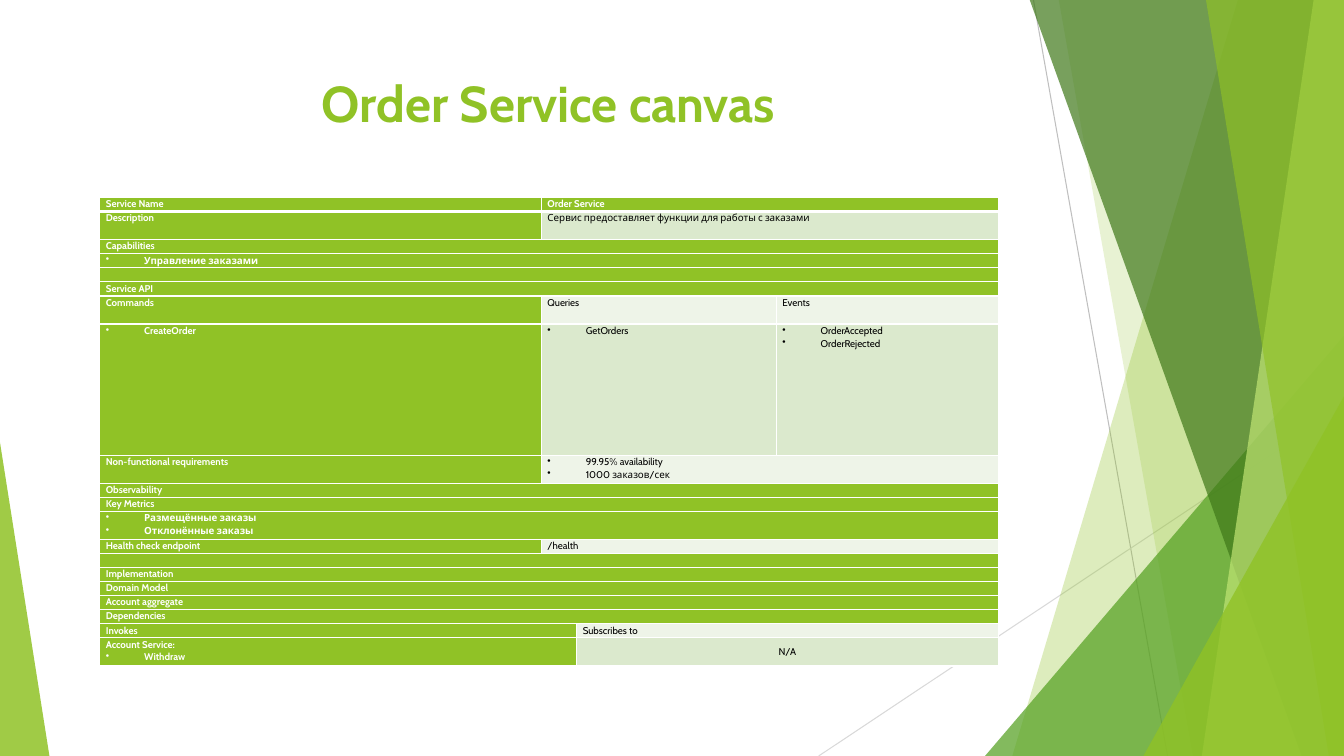
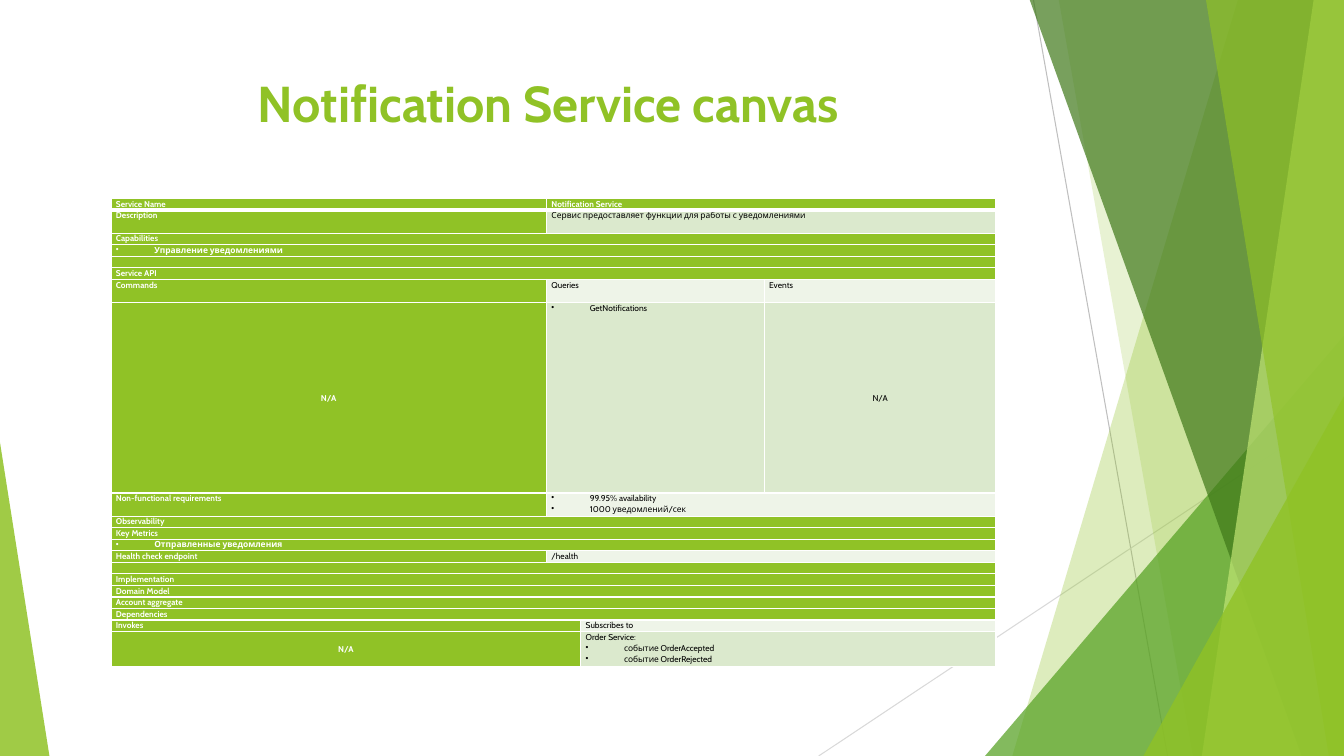
import lxml.etree
import pptx
import pptx.dml.color
import pptx.enum.shapes
import pptx.enum.text
import pptx.oxml.ns
import pptx.util

Inches, Pt, qn = pptx.util.Inches, pptx.util.Pt, pptx.oxml.ns.qn
SHAPE = pptx.enum.shapes.MSO_SHAPE
ALIGN, ANCHOR = pptx.enum.text.PP_ALIGN, pptx.enum.text.MSO_ANCHOR

FONT = "Cabin"
W, H = 13.33, 7.5
COLORS = {
    "green": "90C226", "leaf": "54A021", "forest": "3F7819", "lime": "C0E474",
    "band": "DBE9CD", "pale": "EEF4E8", "white": "FFFFFF", "black": "000000",
    "grey": "BFBFBF", "silver": "D9D9D9",
}

# Content: a line that starts with a bullet becomes a bulleted paragraph
CANVASES = [
    {
        "name": "Order Service",
        "description": "Сервис предоставляет функции для работы с заказами",
        "capabilities": ["•Управление заказами"],
        "commands": ["•CreateOrder"],
        "queries": ["•GetOrders"],
        "events": ["•OrderAccepted", "•OrderRejected"],
        "requirements": ["•99.95% availability", "•1000 заказов/сек"],
        "metrics": ["•Размещённые заказы", "•Отклонённые заказы"],
        "invokes": ["Account Service:", "•Withdraw"],
        "subscribes": ["N/A"],
        "at": (0.99, 1.96), "height": 4.65, "api_height": 1.3,
        "cols": [4.38, 0.35, 1.98, 2.2], "size": 7, "margin": 0.06,
    },
    {
        "name": "Notification Service",
        "description": "Сервис предоставляет функции для работы с уведомлениями",
        "capabilities": ["•Управление уведомлениями"],
        "commands": ["N/A"],
        "queries": ["•GetNotifications"],
        "events": ["N/A"],
        "requirements": ["•99.95% availability", "•1000 уведомлений/сек"],
        "metrics": ["•Отправленные уведомления"],
        "invokes": ["N/A"],
        "subscribes": ["Order Service:", "•событие OrderAccepted", "•событие OrderRejected"],
        "at": (1.1, 1.97), "height": 4.64, "api_height": 1.89,
        "cols": [4.32, 0.34, 1.82, 2.3], "size": 6, "margin": 0.05,
    },
]

# Decoration, back to front
LINES = [((10.25, 0), (11.58, H), "grey"), ((W, 4.03), (8.12, H), "silver")]
# Bands run to the right edge: top-left x, bottom-left x, colour, opacity
# Triangles: left, top, width, apex position, colour, opacity
FACETS = [
    ("band", 12.28, 10.04, "green", 30),
    ("band", 10.5, 11.83, "green", 20),
    ("triangle", 9.77, 3.33, 3.56, 1, "leaf", 72),
    ("band", 10.21, 12.91, "forest", 70),
    ("band", 13.03, 11.92, "lime", 70),
    ("band", 11.96, 13.18, "green", 65),
    ("triangle", 11.34, 3.93, 1.99, 1, "green", 80),
    ("triangle", 0, 4.39, 0.49, 0, "green", 85),
]


def rgb(name):
    return pptx.dml.color.RGBColor.from_string(COLORS[name])


def canvas_rows(c):
    """Rows as (height in lines or None for the API row, [(lines, column span)])."""
    def full(*lines):
        return len(lines), [(lines, 4)]

    def pair(label, lines, units=1):
        return units, [([label], 1), (lines, 3)]

    return [
        pair("Service Name", [c["name"]]),
        pair("Description", [c["description"]], 2),
        full("Capabilities"),
        full(*c["capabilities"]),
        full(""),
        full("Service API"),
        (2, [(["Commands"], 1), (["Queries"], 2), (["Events"], 1)]),
        (None, [(c["commands"], 1), (c["queries"], 2), (c["events"], 1)]),
        pair("Non-functional requirements", c["requirements"], 2),
        full("Observability"),
        full("Key Metrics"),
        full(*c["metrics"]),
        pair("Health check endpoint", ["/health"]),
        full(""),
        full("Implementation"),
        full("Domain Model"),
        full("Account aggregate"),
        full("Dependencies"),
        (1, [(["Invokes"], 2), (["Subscribes to"], 2)]),
        (max(len(c["invokes"]), len(c["subscribes"])),
         [(c["invokes"], 2), (c["subscribes"], 2)]),
    ]


def draw_facet(s, kind, *geometry):
    *place, color, opacity = geometry
    if kind == "band":
        top_x, bottom_x = place
        corners = [(top_x, -0.01), (W, -0.01), (W, H), (bottom_x, H)]
        points = [(Inches(x), Inches(y)) for x, y in corners]
        builder = s.shapes.build_freeform(*points[0])
        builder.add_line_segments(points[1:], close=True)
        sp = builder.convert_to_shape()
    else:
        left, top, width, apex = place
        sp = s.shapes.add_shape(SHAPE.ISOSCELES_TRIANGLE, Inches(left), Inches(top),
                                Inches(width), Inches(H - top))
        sp.adjustments[0] = apex
    sp.shadow.inherit = False
    sp.line.fill.background()
    sp.fill.solid()
    sp.fill.fore_color.rgb = rgb(color)
    clr = sp.element.spPr.find(qn("a:solidFill"))[0]
    lxml.etree.SubElement(clr, qn("a:alpha"), val=str(opacity * 1000))
    return sp


def draw_line(s, start, end, color):
    line = s.shapes.add_connector(pptx.enum.shapes.MSO_CONNECTOR.STRAIGHT,
                                  *(Inches(v) for v in start + end))
    line.line.color.rgb = rgb(color)
    line.line.width = Pt(0.75)
    lxml.etree.SubElement(line.element.spPr, qn("a:effectLst"))
    return line


def decorate_layout(layout, s):
    """Draw the facets on a slide, then move them to the layout all slides share."""
    shapes = [draw_line(s, *line) for line in LINES]
    shapes += [draw_facet(s, *facet) for facet in FACETS]
    for number, sp in enumerate(shapes, 100):
        sp.element.xpath(".//p:cNvPr")[0].set("id", str(number))
        layout.shapes.element.append(sp.element)


def set_font(p, size, color, bold):
    p.font.name, p.font.size, p.font.bold = FONT, Pt(size), bold
    p.font.color.rgb = rgb(color)


def set_borders(cell, bottom):
    tcPr = cell._tc.get_or_add_tcPr()
    for i, (side, width) in enumerate([("L", 1), ("R", 1), ("T", 1), ("B", bottom)]):
        ln = lxml.etree.Element(qn("a:ln" + side), w=str(Pt(width)))
        fill = lxml.etree.SubElement(ln, qn("a:solidFill"))
        lxml.etree.SubElement(fill, qn("a:srgbClr"), val=COLORS["white"])
        tcPr.insert(i, ln)


def fill_text(cell, lines, size, color, bold):
    tf = cell.text_frame
    for i, line in enumerate(lines):
        p = tf.paragraphs[0] if i == 0 else tf.add_paragraph()
        p.line_spacing = 1.07
        set_font(p, size, color, bold)
        if not line:
            lxml.etree.SubElement(p._p, qn("a:endParaRPr"), sz=str(size * 100))
            continue
        p.add_run().text = line.lstrip("•")
        if line == "N/A":
            p.alignment = ALIGN.CENTER
            cell.vertical_anchor = ANCHOR.MIDDLE
        if line.startswith("•"):
            pPr = p._p.get_or_add_pPr()
            pPr.set("marL", str(Inches(0.38)))
            pPr.set("indent", str(Inches(-0.38)))
            bullet = lxml.etree.Element(qn("a:buChar"), char="•")
            pPr.find(qn("a:defRPr")).addprevious(bullet)


def draw_canvas(s, c):
    rows, cols = canvas_rows(c), c["cols"]
    left, top = c["at"]
    table = s.shapes.add_table(len(rows), len(cols), Inches(left), Inches(top),
                               Inches(sum(cols)), Inches(c["height"])).table
    table.first_row = table.horz_banding = False
    for column, width in zip(table.columns, cols):
        column.width = Inches(width)

    # The API row has its own height, the others share the rest line by line
    unit = (c["height"] - c["api_height"]) / sum(units or 0 for units, _ in rows)
    for r, (units, cells) in enumerate(rows):
        table.rows[r].height = Inches(unit * units if units else c["api_height"])
        start = 0
        for lines, span in cells:
            header = r == 0 or start == 0
            fill = "green" if header else "band" if r % 2 else "pale"
            for col in range(start, start + span):
                cell = table.cell(r, col)
                cell.fill.solid()
                cell.fill.fore_color.rgb = rgb(fill)
                cell.margin_left = cell.margin_right = Inches(c["margin"])
                cell.margin_top = cell.margin_bottom = 0
                set_borders(cell, 3 if r == 0 else 1)
                fill_text(cell, lines if col == start else [""], c["size"],
                          "white" if header else "black", header)
            if span > 1:
                table.cell(r, start).merge(table.cell(r, start + span - 1))
            start += span


def set_title(s, text):
    title = s.shapes.title
    title.left, title.top, title.width, title.height = (
        Inches(v) for v in (0.74, 0.67, 9.4, 1.44))
    tf = title.text_frame
    tf.text = text
    tf.vertical_anchor = ANCHOR.TOP
    p = tf.paragraphs[0]
    p.alignment = ALIGN.CENTER
    set_font(p, 36, "green", True)


def main():
    prs = pptx.Presentation()
    prs.slide_width, prs.slide_height = Inches(W), Inches(H)
    layout = prs.slide_layouts[5]
    for i, canvas in enumerate(CANVASES):
        s = prs.slides.add_slide(layout)
        if i == 0:
            decorate_layout(layout, s)
        set_title(s, canvas["name"] + " canvas")
        draw_canvas(s, canvas)
    prs.save("out.pptx")


if __name__ == "__main__":
    main()
